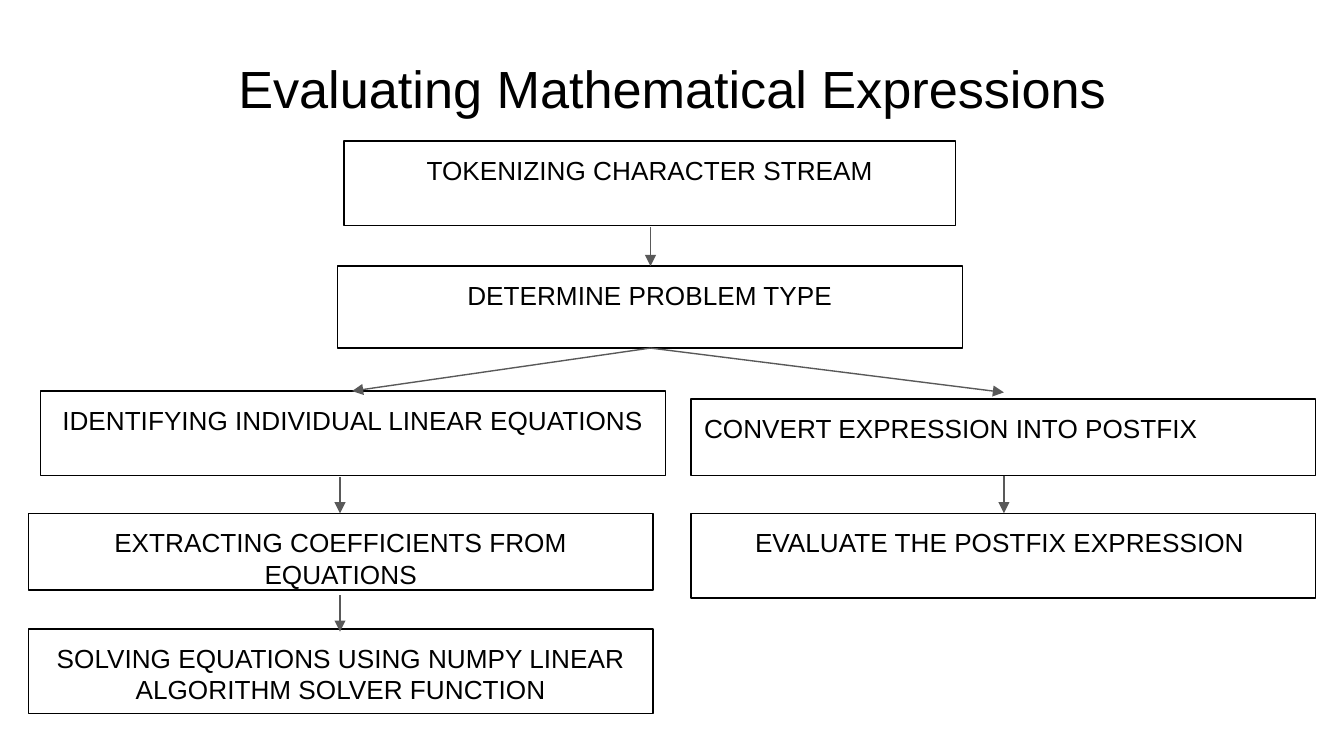
from lxml import etree
from pptx import Presentation
from pptx import util as u
from pptx.dml.color import RGBColor
from pptx.enum import shapes, text
from pptx.oxml.ns import qn

BLACK = RGBColor(0x00, 0x00, 0x00)
GRAY = RGBColor(0x59, 0x59, 0x59)
FONT = "Arial"
CENTER, LEFT = text.PP_ALIGN.CENTER, text.PP_ALIGN.LEFT

BOX_WIDTH = 4.65
LEFT_COLUMN, RIGHT_COLUMN = 0.21, 5.14
ROOT_X, LEFT_X, RIGHT_X = 4.84, 2.53, 7.47

# Steps: label, left, top, width, height, alignment
STEPS = [
    ("TOKENIZING CHARACTER STREAM", 2.56, 1.05, 4.55, 0.63, CENTER),
    ("DETERMINE PROBLEM TYPE", 2.51, 1.98, BOX_WIDTH, 0.61, CENTER),
    ("CONVERT EXPRESSION INTO POSTFIX", RIGHT_COLUMN, 2.97, BOX_WIDTH, 0.57, LEFT),
    ("EVALUATE THE POSTFIX EXPRESSION ", RIGHT_COLUMN, 3.82, BOX_WIDTH, 0.63, CENTER),
    ("IDENTIFYING INDIVIDUAL LINEAR EQUATIONS", 0.3, 2.91, BOX_WIDTH, 0.63, CENTER),
    ("EXTRACTING COEFFICIENTS FROM EQUATIONS", LEFT_COLUMN, 3.82, BOX_WIDTH, 0.57, CENTER),
    ("SOLVING EQUATIONS USING NUMPY LINEAR ALGORITHM SOLVER FUNCTION",
     LEFT_COLUMN, 4.68, BOX_WIDTH, 0.63, CENTER),
]

# Arrows: start x, start y, end x, end y
ARROWS = [
    (ROOT_X, 1.69, ROOT_X, 1.98),
    (ROOT_X, 2.59, RIGHT_X, 2.92),
    (ROOT_X, 2.59, 2.62, 2.91),
    (LEFT_X, 3.55, LEFT_X, 3.82),
    (RIGHT_X, 3.54, RIGHT_X, 3.82),
    (LEFT_X, 4.43, LEFT_X, 4.7),
]


def set_attributes(target, values):
    for name, value in values.items():
        setattr(target, name, value)


def place(shape, left, top, width, height):
    set_attributes(shape, {
        "left": u.Inches(left), "top": u.Inches(top),
        "width": u.Inches(width), "height": u.Inches(height),
    })


def write_text(shape, content, size, alignment=CENTER):
    frame = shape.text_frame
    margins = ("margin_left", "margin_top", "margin_right", "margin_bottom")
    set_attributes(frame, {
        **dict.fromkeys(margins, u.Inches(0.1)),
        "word_wrap": True,
        "auto_size": text.MSO_AUTO_SIZE.NONE,
        "vertical_anchor": text.MSO_ANCHOR.TOP,
    })
    frame.text = content
    paragraph = frame.paragraphs[0]
    paragraph.alignment = alignment
    paragraph.space_before = u.Pt(0)
    set_attributes(paragraph.font, {"name": FONT, "size": u.Pt(size)})
    paragraph.font.color.rgb = BLACK


def style_line(line, color):
    line.color.rgb = color
    line.width = u.Pt(0.75)


def add_title(slide, content):
    title = slide.shapes.title
    place(title, 0.34, 0.32, 9.32, 0.63)
    write_text(title, content, 28)


def add_step(slide, label, left, top, width, height, alignment):
    box = slide.shapes.add_shape(shapes.MSO_SHAPE.RECTANGLE, 0, 0, 0, 0)
    place(box, left, top, width, height)
    box.shadow.inherit = False
    box.fill.background()
    style_line(box.line, BLACK)
    write_text(box, label, 14, alignment)


def add_arrow(slide, *ends):
    arrow = slide.shapes.add_connector(
        shapes.MSO_CONNECTOR.STRAIGHT, *(u.Inches(value) for value in ends))
    style_line(arrow.line, GRAY)
    etree.SubElement(arrow.line._get_or_add_ln(), qn("a:tailEnd"), type="triangle")
    etree.SubElement(arrow._element.spPr, qn("a:effectLst"))


def main():
    # Widescreen slide, 16:9
    presentation = Presentation()
    presentation.slide_width = u.Inches(10)
    presentation.slide_height = u.Inches(10 * 9 / 16)
    slide = presentation.slides.add_slide(presentation.slide_layouts[5])

    add_title(slide, "Evaluating Mathematical Expressions")
    # Flowchart boxes, then the arrows that join them
    for step in STEPS:
        add_step(slide, *step)
    for arrow in ARROWS:
        add_arrow(slide, *arrow)

    presentation.save("out.pptx")


if __name__ == "__main__":
    main()
